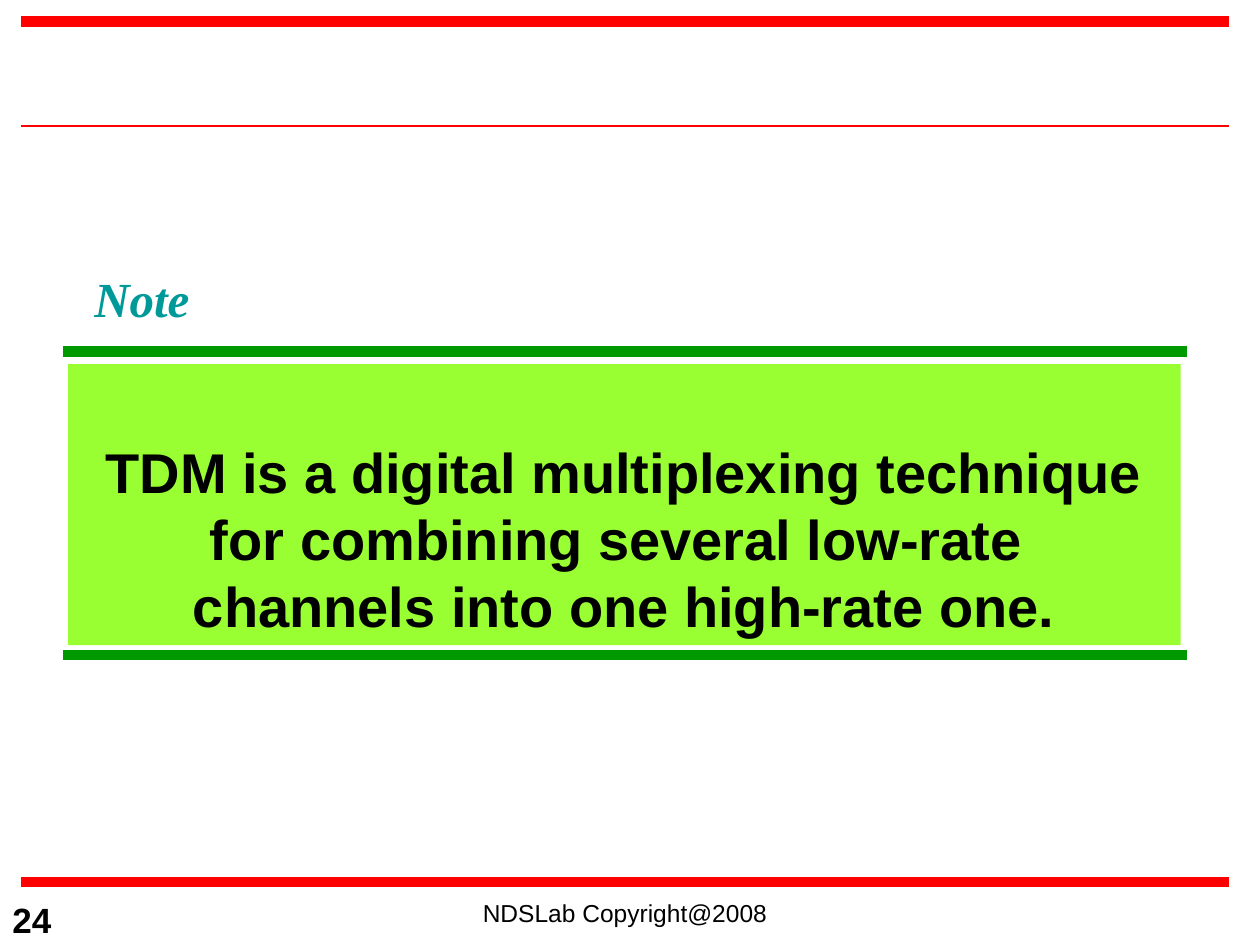
from pptx import Presentation
from pptx.dml.color import RGBColor
from pptx.enum.shapes import MSO_CONNECTOR, MSO_SHAPE
from pptx.enum.text import MSO_ANCHOR, PP_ALIGN
from pptx.oxml.ns import qn
from pptx.util import Inches, Pt
from lxml import etree

STRAIGHT = MSO_CONNECTOR.STRAIGHT
RECTANGLE = MSO_SHAPE.RECTANGLE
BOTTOM = MSO_ANCHOR.BOTTOM
LEFT, CENTER = PP_ALIGN.LEFT, PP_ALIGN.CENTER

RED = RGBColor(0xFF, 0x00, 0x00)
GREEN = RGBColor(0x00, 0x99, 0x00)
LIME = RGBColor(0x99, 0xFF, 0x33)
TEAL = RGBColor(0x00, 0x99, 0x99)
BLACK = RGBColor(0x00, 0x00, 0x00)


def add_rule(slide, left, right, y, color, width):
    rule = slide.shapes.add_connector(
        STRAIGHT, Inches(left), Inches(y), Inches(right), Inches(y))
    rule.line.color.rgb = color
    rule.line.width = Pt(width)
    etree.SubElement(rule._element.spPr, qn("a:effectLst"))


def write_text(frame, text, size, color=BLACK, font="Arial",
               bold=False, italic=False, align=LEFT):
    frame.text = text
    paragraph = frame.paragraphs[0]
    paragraph.alignment = align
    for run in paragraph.runs:
        run.font.name = font
        run.font.size = Pt(size)
        run.font.bold = bold
        run.font.italic = italic
        run.font.color.rgb = color


def add_label(slide, box, text, size, wrap=True, **style):
    label = slide.shapes.add_textbox(*map(Inches, box))
    label.text_frame.word_wrap = wrap
    write_text(label.text_frame, text, size, **style)


def add_statement(slide, box, text):
    statement = slide.shapes.add_shape(RECTANGLE, *map(Inches, box))
    statement.shadow.inherit = False
    statement.fill.solid()
    statement.fill.fore_color.rgb = LIME
    statement.line.fill.background()
    statement.text_frame.word_wrap = True
    statement.text_frame.vertical_anchor = BOTTOM
    write_text(statement.text_frame, text, 32, bold=True, align=CENTER)


def main():
    deck = Presentation()
    deck.slide_width, deck.slide_height = Inches(10), Inches(7.5)
    slide = deck.slides.add_slide(deck.slide_layouts[6])

    for y, width in ((0.17, 6), (7, 6), (1, 1.5)):
        add_rule(slide, 0.17, 9.75, y, RED, width)
    add_label(slide, (2.75, 7.08, 4.42, 0.42), "NDSLab Copyright@2008", 14,
              align=CENTER)
    add_label(slide, (0, 7.08, 2.5, 0.42), "24", 20, bold=True)

    for y in (2.79, 5.2):
        add_rule(slide, 0.5, 9.42, y, GREEN, 6)
    add_statement(
        slide, (0.54, 2.89, 8.83, 2.23),
        "TDM is a digital multiplexing technique for combining several "
        "low-rate \vchannels into one high-rate one.")
    add_label(slide, (0.65, 2.08, 0.96, 0.57), "Note", 28, wrap=False,
              color=TEAL, font="Times New Roman", bold=True, italic=True)

    deck.save("out.pptx")


if __name__ == "__main__":
    main()
